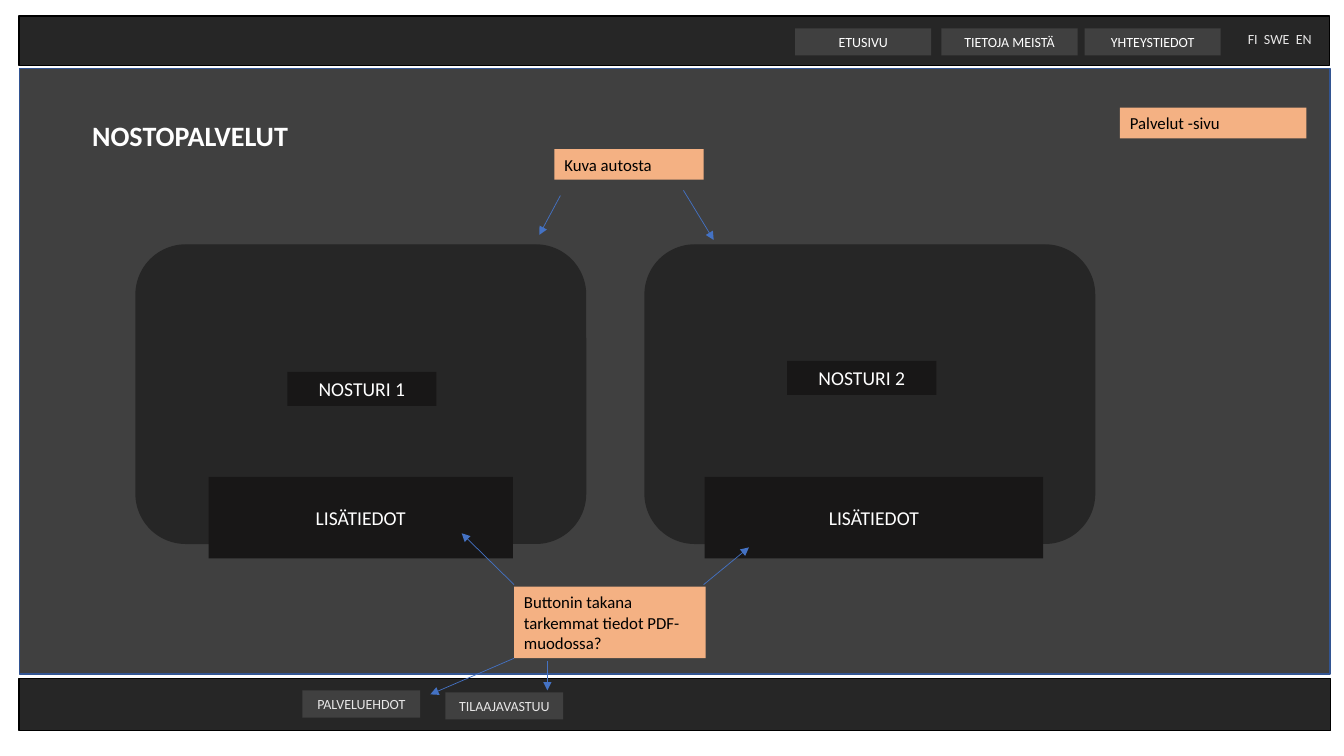
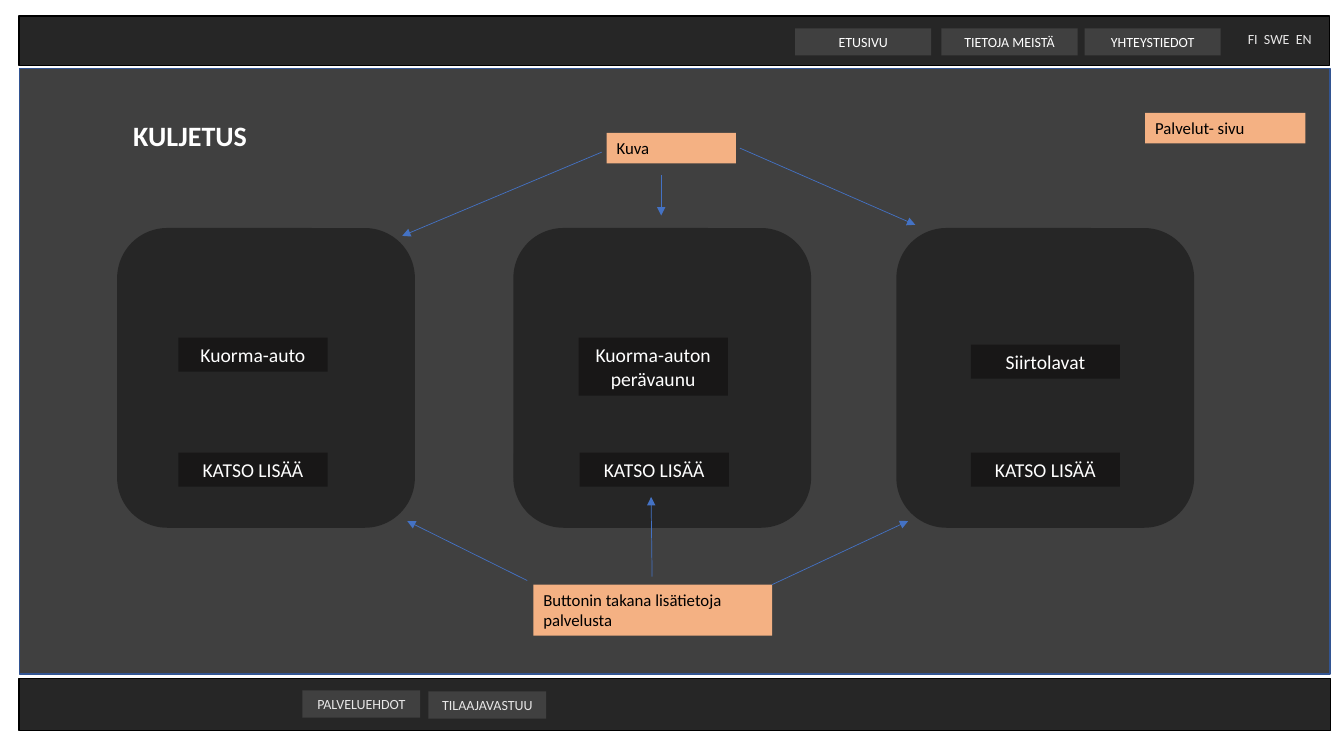
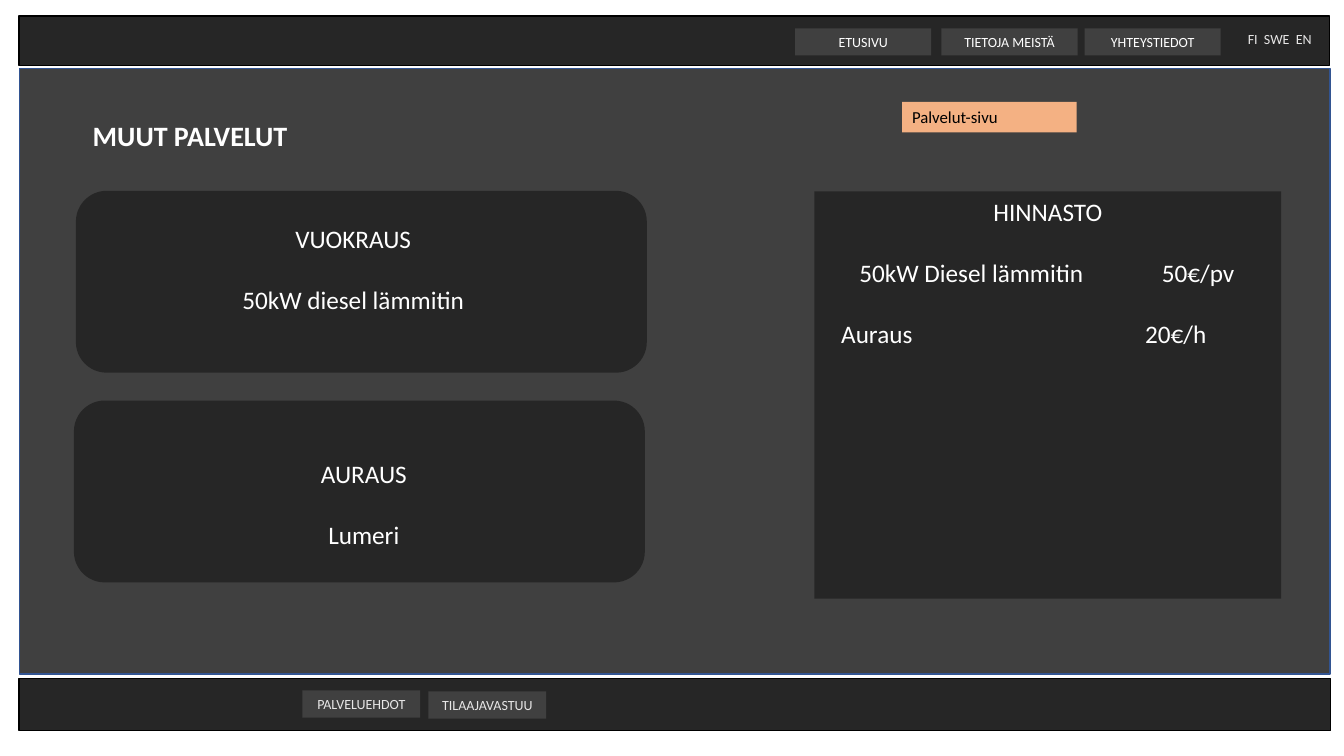
from lxml.etree import SubElement
from pptx import Presentation
from pptx.dml.color import RGBColor
from pptx.enum.shapes import MSO_CONNECTOR, MSO_SHAPE
from pptx.enum.text import MSO_ANCHOR, PP_ALIGN
from pptx.oxml.ns import qn
from pptx.util import Pt

FONT = "Calibri"
DARK, GREY, LABEL = "262626", "404040", "181717"
WHITE, PALE, BLACK = "FFFFFF", "E7E6E6", "000000"
ORANGE, BLUE, BODY_EDGE = "F4B183", "4472C4", "325491"
LINE_HEIGHT = 1.22
PADDING = 7.2

STYLES = {
    "title": {"size": 20, "color": WHITE, "fill": GREY, "bold": True},
    "nav": {"size": 10, "color": WHITE, "fill": GREY},
    "footer": {"size": 10, "color": PALE, "fill": GREY},
    "language": {"size": 10, "color": PALE, "align": PP_ALIGN.RIGHT},
    "label": {"size": 14, "color": WHITE, "fill": LABEL},
    "note": {"size": 12, "color": BLACK, "fill": ORANGE, "align": PP_ALIGN.LEFT},
    "service": {"size": 18, "color": WHITE, "gap": 22},
    "prices": {"size": 18, "color": WHITE, "fill": DARK, "gap": 22},
}

# left, top, width, height, fill, line
BANDS = [
    (13.7, 11.5, 936, 35.3, DARK, BLACK),
    (14, 48.8, 936, 432.7, GREY, BODY_EDGE),
    (13.7, 484.6, 936.7, 37.4, DARK, BLACK),
]
# style, text, left, top, width
SHARED_TEXTS = [
    ("language", "FI  SWE  EN", 872, 18, 72),
    ("nav", "ETUSIVU", 568, 20.2, 97.2),
    ("nav", "TIETOJA MEISTÄ", 672.5, 20.2, 97.2),
    ("nav", "YHTEYSTIEDOT", 774.7, 20.2, 97.2),
    ("footer", "PALVELUEHDOT", 216, 493.2, 84.2),
]

# cards: lefts, top, width, height; texts may end with an explicit height;
# arrows: start x, start y, end x, end y
SLIDES = [
    {
        "title": "NOSTOPALVELUT",
        "liability": (318.2, 494.6),
        "cards": [((97.2, 460.8), 175, 321.1, 213.1)],
        "texts": [
            ("label", "NOSTURI 1", 205.2, 265.7, 106.6),
            ("label", "NOSTURI 2", 562.3, 257.8, 106.6),
            ("label", "LISÄTIEDOT", 149, 340.6, 217.4, 58.3),
            ("label", "LISÄTIEDOT", 503.3, 340.6, 241.9, 58.3),
            ("note", "Palvelut -sivu", 800, 77, 133.2),
            ("note", "Buttonin takana tarkemmat tiedot PDF-muodossa?",
             367.2, 419, 136.8, 51.1),
            ("note", "Kuva autosta", 396, 106.6, 106.6),
        ],
        "arrows": [
            (502.6, 417.6, 535, 391),
            (367.2, 417.6, 329.8, 380.9),
            (367.2, 470.2, 307.4, 496),
            (391, 472.3, 391, 493.2),
            (400.3, 139.7, 385.2, 167.8),
            (488.2, 136, 509.8, 171.4),
        ],
    },
    {
        "title": "KULJETUS",
        "liability": (306, 493.9),
        "cards": [((84.2, 367.2, 640.8), 163.4, 211.7, 213.1)],
        "texts": [
            ("label", "Kuorma-auto", 127.4, 241.2, 106.6),
            ("label", "Kuorma-auton\nperävaunu", 413.3, 241.2, 106.6),
            ("label", "Siirtolavat", 693.4, 246.2, 106.6),
            *[("label", "KATSO LISÄÄ", left, 323.3, 106.6)
              for left in (127.4, 414, 693.4)],
            ("note", "Palvelut- sivu", 818, 80.6, 114.5),
            ("note", "Buttonin takana lisätietoja palvelusta",
             381, 417.6, 170.6, 36.4),
            ("note", "Kuva", 433.4, 95, 92.2),
        ],
        "arrows": [
            (551.5, 417.6, 648.7, 372.2),
            (465.8, 411.8, 465.1, 355),
            (376.6, 414.7, 290.9, 372.2),
            (472.3, 125.3, 472.3, 154),
            (429.8, 108.7, 287.3, 168.5),
            (528.5, 105.8, 653.8, 160.6),
        ],
    },
    {
        "title": "MUUT PALVELUT",
        "liability": (306, 493.9),
        "cards": [((54.7,), 136.8, 406.8, 128.9), ((53.3,), 286.6, 406.8, 128.9)],
        "texts": [
            ("service", "VUOKRAUS\n50kW diesel lämmitin", 136, 156.2, 232.6),
            ("service", "AURAUS\nLumeri", 128.9, 324, 262),
            ("note", "Palvelut-sivu", 644.4, 72.7, 124.6),
        ],
        "arrows": [],
        "prices": {
            "heading": "HINNASTO",
            "place": (581.8, 136.8, 333.4, 290.9),
            # item, price, item tab stop, price tab stop
            "rows": [
                ("50kW Diesel lämmitin", "50€/pv", 25, 241),
                ("Auraus", "20€/h", 12, 229),
            ],
        },
    },
]


def rgb(color):
    return RGBColor.from_string(color)


def add_box(slide, place, fill=None, line=None, preset=MSO_SHAPE.RECTANGLE):
    shape = slide.shapes.add_shape(preset, *map(Pt, place))
    shape.shadow.inherit = False
    if fill:
        shape.fill.solid()
        shape.fill.fore_color.rgb = rgb(fill)
    else:
        shape.fill.background()
    if line:
        shape.line.color.rgb = rgb(line)
        shape.line.width = Pt(1)
    else:
        shape.line.fill.background()
    return shape


def add_text(slide, style_name, text, left, top, width, height=None):
    """Add a text in a named style; without a height the box fits its lines."""
    style = STYLES[style_name]
    lines = text.split("\n")
    gap = style.get("gap", 0)
    if height is None:
        height = len(lines) * style["size"] * LINE_HEIGHT + (len(lines) - 1) * gap + PADDING
    place = (left, top, width, height)
    if "fill" in style:
        shape = add_box(slide, place, style["fill"])
    else:
        shape = slide.shapes.add_textbox(*map(Pt, place))
    frame = shape.text_frame
    frame.word_wrap = True
    frame.vertical_anchor = MSO_ANCHOR.TOP if gap else MSO_ANCHOR.MIDDLE
    font_values = {"name": FONT, "size": Pt(style["size"]), "bold": style.get("bold", False)}
    for index, line in enumerate(lines):
        paragraph = frame.add_paragraph() if index else frame.paragraphs[0]
        paragraph.alignment = style.get("align", PP_ALIGN.CENTER)
        if index and gap:
            paragraph.space_before = Pt(gap)
        run = paragraph.add_run()
        run.text = line
        for name, value in font_values.items():
            setattr(run.font, name, value)
        run.font.color.rgb = rgb(style["color"])
    return shape


def add_prices(slide, heading, place, rows):
    lines = [heading] + [f"\t{item}\t{price}" for item, price, *_ in rows]
    shape = add_text(slide, "prices", "\n".join(lines), *place)
    for paragraph, (_, _, *stops) in zip(shape.text_frame.paragraphs[1:], rows):
        paragraph.alignment = PP_ALIGN.LEFT
        tabs = SubElement(paragraph._p.get_or_add_pPr(), qn("a:tabLst"))
        for stop in stops:
            SubElement(tabs, qn("a:tab"), pos=str(Pt(stop)), algn="l")


def add_arrow(slide, points):
    arrow = slide.shapes.add_connector(MSO_CONNECTOR.STRAIGHT, *map(Pt, points))
    arrow.line.color.rgb = rgb(BLUE)
    arrow.line.width = Pt(0.5)
    SubElement(arrow.line._get_or_add_ln(), qn("a:tailEnd"), type="triangle")
    SubElement(arrow._element.spPr, qn("a:effectLst"))


def add_page(presentation, content):
    slide = presentation.slides.add_slide(presentation.slide_layouts[6])
    for *place, fill, line in BANDS:
        add_box(slide, place, fill, line)
    for text in SHARED_TEXTS:
        add_text(slide, *text)
    add_text(slide, "footer", "TILAAJAVASTUU", *content["liability"], 84.2)
    add_text(slide, "title", content["title"], 38.2, 80.6, 195.1)
    for lefts, *rest in content["cards"]:
        for left in lefts:
            add_box(slide, (left, *rest), DARK, DARK, MSO_SHAPE.ROUNDED_RECTANGLE)
    if "prices" in content:
        add_prices(slide, **content["prices"])
    for text in content["texts"]:
        add_text(slide, *text)
    for points in content["arrows"]:
        add_arrow(slide, points)


def main():
    presentation = Presentation()
    presentation.slide_width = Pt(960)
    presentation.slide_height = Pt(540)
    for content in SLIDES:
        add_page(presentation, content)
    presentation.save("out.pptx")


if __name__ == "__main__":
    main()
